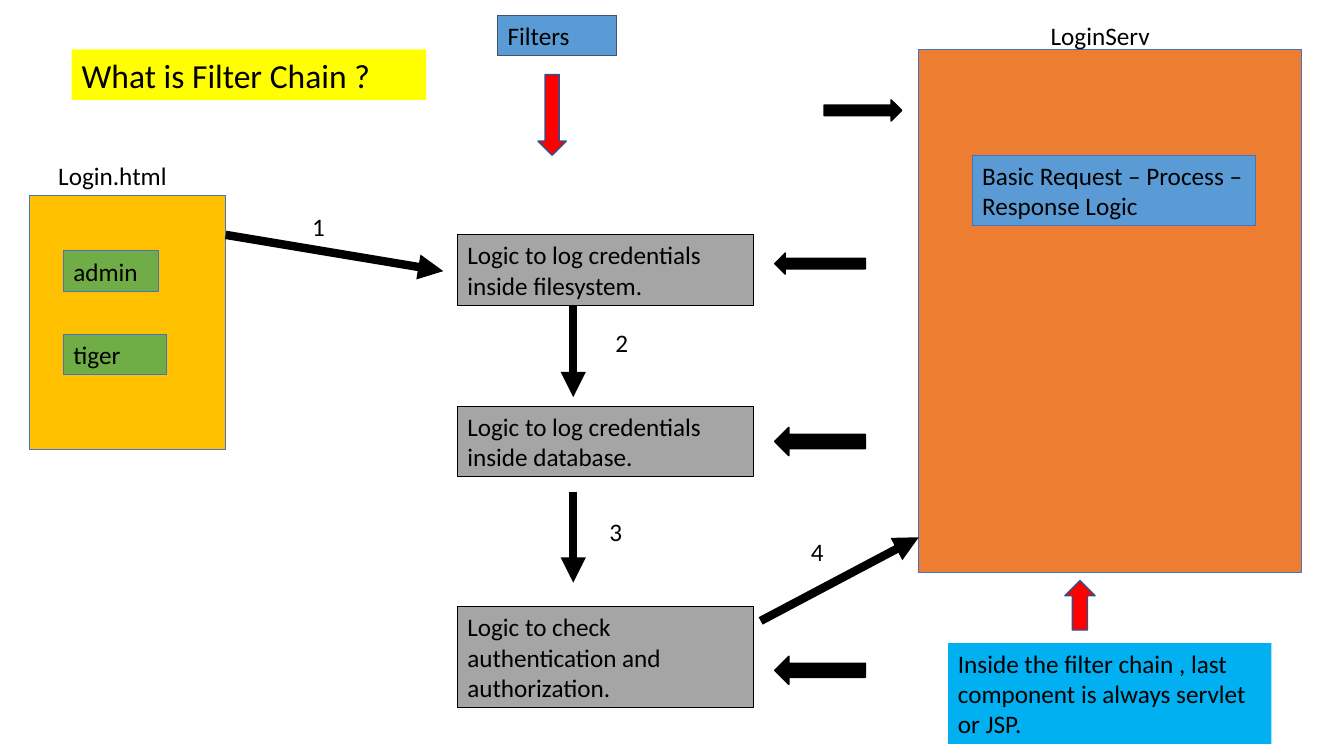
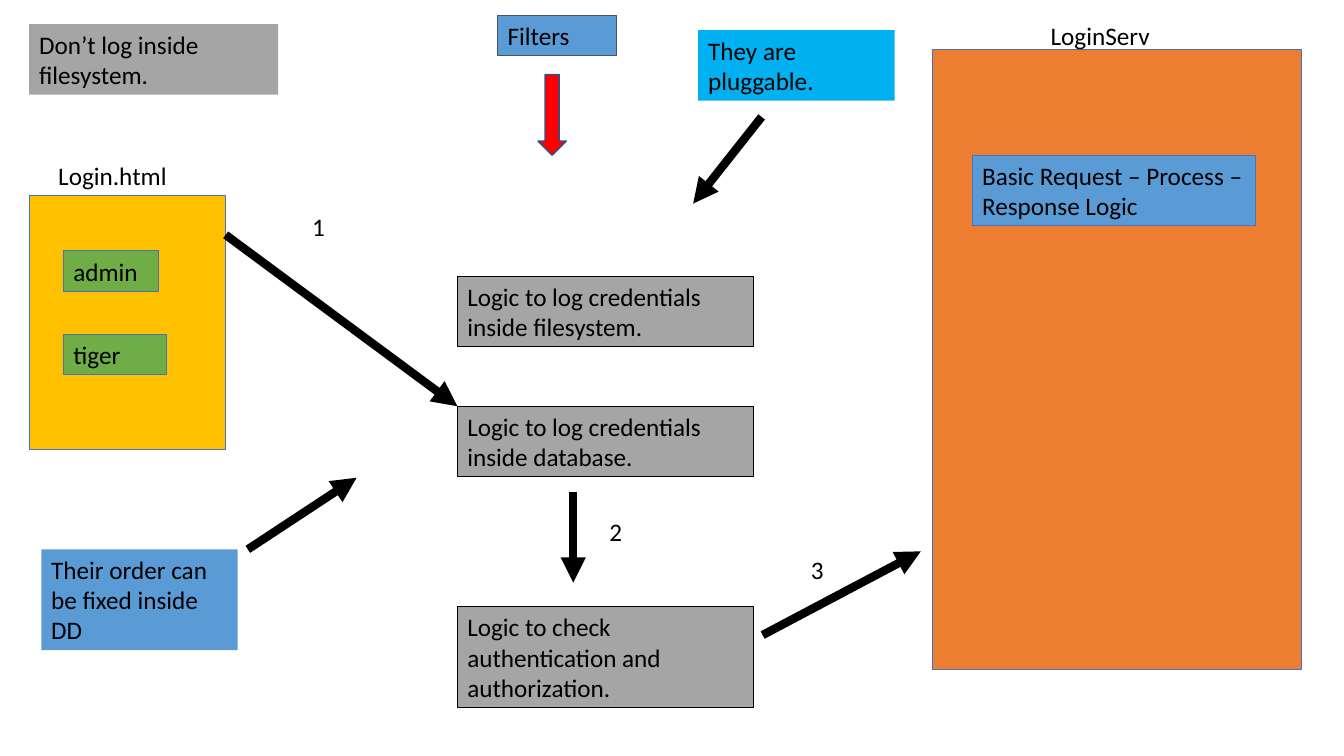
"""Build two slides that explain a chain of login filters."""
from lxml.etree import SubElement
from pptx import Presentation
from pptx.dml.color import RGBColor as Rgb
from pptx.enum.shapes import MSO_CONNECTOR as Conn, MSO_SHAPE as Geo
from pptx.enum.text import MSO_ANCHOR as Anchor, MSO_AUTO_SIZE as Fit, PP_ALIGN as Align
from pptx.oxml.ns import qn
from pptx.util import Inches, Pt

FONT = "Calibri"
HUES = {
    "black": "000000", "orange": "ED7D31", "gold": "FFC000", "green": "70AD47",
    "blue": "5B9BD5", "sky": "00B0F0", "gray": "A5A5A5", "yellow": "FFFF00",
    "red": "FF0000", "edge": "4472C4", "slate": "44546A", "navy": "2F528F",
}
LOGIC = [
    ("Logic to log credentials inside filesystem.", 2),
    ("Logic to log credentials inside database.", 2),
    ("Logic to check authentication and authorization.", 3),
]
TAGS = [("LoginServ", 10.33, 0.15, 1.63), ("Login.html", 0.48, 1.54, 1.33)]
BOXES = [
    ("admin", 0.63, 2.49, 0.94, 1, "green", "edge"),
    ("tiger", 0.63, 3.32, 1.02, 1, "green", "edge"),
    ("Basic Request – Process –Response Logic", 9.65, 1.54, 2.81, 2, "blue", "edge"),
    ("Filters", 4.94, 0.15, 1.18, 1, "blue", "slate"),
]
FORM = (0.29, 1.94, 1.95, 2.52)
DOWN = (Geo.DOWN_ARROW, (5.34, 0.74, 0.28, 0.8), "red", "navy")
LAST = (5.69, 4.88, 5.69, 5.78)
SLIDES = [
    {
        "title": ("What is Filter Chain ?", (0.71, 0.49, 3.52, 0.5)),
        "panel": (9.12, 0.49, 3.8, 5.19),
        "tops": (2.33, 4.03, 6.02),
        "notes": [("Inside the filter chain , last component is always servlet or JSP.",
                   9.41, 6.38, 3.21, 3, "sky", None)],
        "steps": [(3, 2.05), (6.01, 3.2), (5.95, 5.07), (7.95, 5.27)],
        "lines": [(2.24, 2.33, 4.4, 2.69), (5.69, 3.04, 5.69, 3.94), LAST,
                  (7.55, 6.16, 9.12, 5.33)],
        "blocks": [
            (Geo.LEFT_ARROW, (7.69, 2.51, 0.9, 0.21), "black", "black"),
            (Geo.LEFT_ARROW, (7.69, 4.24, 0.9, 0.28), "black", "black"),
            (Geo.LEFT_ARROW, (7.69, 6.51, 0.9, 0.28), "black", "black"),
            (Geo.RIGHT_ARROW, (8.18, 0.99, 0.77, 0.21), "black", "black"),
            (Geo.UP_ARROW, (10.57, 5.76, 0.3, 0.49), "red", "navy"),
        ],
    },
    {
        "title": None,
        "panel": (9.26, 0.49, 3.66, 6.15),
        "tops": (2.74, 4.03, 6.02),
        "notes": [
            ("Don’t log inside filesystem.", 0.29, 0.24, 2.47, 2, "gray", None),
            ("Their order can be fixed inside DD", 0.41, 5.45, 1.95, 3, "blue", None),
            ("They are pluggable.", 6.93, 0.3, 1.95, 2, "sky", None),
        ],
        "steps": [(3, 2.05), (5.95, 5.07), (7.95, 5.45)],
        "lines": [(2.24, 2.33, 4.54, 4.03), LAST, (7.57, 6.3, 9.14, 5.47),
                  (2.46, 5.45, 3.54, 4.74), (7.56, 1.16, 6.88, 2.02)],
        "blocks": [],
    },
]


def color(name):
    return Rgb.from_string(HUES[name])


def tall(rows):
    return 0.1 + 0.3 * rows


def write(shape, text, size=18, hue="black"):
    frame = shape.text_frame
    frame.word_wrap = True
    frame.auto_size = Fit.NONE
    frame.vertical_anchor = Anchor.TOP
    para = frame.paragraphs[0]
    para.text = text
    para.alignment = Align.LEFT
    para.font.name = FONT
    para.font.size = Pt(size)
    para.font.color.rgb = color(hue)


def paint(shape, fill):
    shape.fill.solid()
    shape.fill.fore_color.rgb = color(fill)


def draw(slide, geo, at, fill, edge, width=1):
    shape = slide.shapes.add_shape(geo, *map(Inches, at))
    shape.shadow.inherit = False
    paint(shape, fill)
    if edge:
        shape.line.color.rgb = color(edge)
        shape.line.width = Pt(width)
    else:
        shape.line.fill.background()
    return shape


def box(slide, text, left, top, width, rows, fill, edge):
    at = (left, top, width, tall(rows))
    write(draw(slide, Geo.RECTANGLE, at, fill, edge, 0.75), text)


def tag(slide, text, left, top, width=0.45):
    at = (left, top, width, tall(1))
    write(slide.shapes.add_textbox(*map(Inches, at)), text)


def link(slide, ends):
    line = slide.shapes.add_connector(Conn.STRAIGHT, *map(Inches, ends))
    line.line.color.rgb = color("black")
    line.line.width = Pt(6)
    SubElement(line.line._get_or_add_ln(), qn("a:tailEnd"), type="triangle")
    SubElement(line._element.spPr, qn("a:effectLst"))


def head(slide, text, at):
    title = slide.shapes.title
    title.left, title.top, title.width, title.height = map(Inches, at)
    paint(title, "yellow")
    write(title, text, size=24)


def build(deck, data):
    slide = deck.slides.add_slide(deck.slide_layouts[5 if data["title"] else 6])
    if data["title"]:
        head(slide, *data["title"])
    draw(slide, Geo.RECTANGLE, data["panel"], "orange", "edge", 0.75)
    draw(slide, Geo.RECTANGLE, FORM, "gold", "edge", 0.75)
    for item in TAGS:
        tag(slide, *item)
    for item in BOXES + data["notes"]:
        box(slide, *item)
    for (text, rows), top in zip(LOGIC, data["tops"]):
        box(slide, text, 4.54, top, 2.94, rows, "gray", "black")
    for item in [DOWN] + data["blocks"]:
        draw(slide, *item)
    for ends in data["lines"]:
        link(slide, ends)
    for num, spot in enumerate(data["steps"], 1):
        tag(slide, str(num), *spot)


def main():
    deck = Presentation()
    deck.slide_width, deck.slide_height = Inches(13.34), Inches(7.5)
    for data in SLIDES:
        build(deck, data)
    deck.save("out.pptx")


if __name__ == "__main__":
    main()
